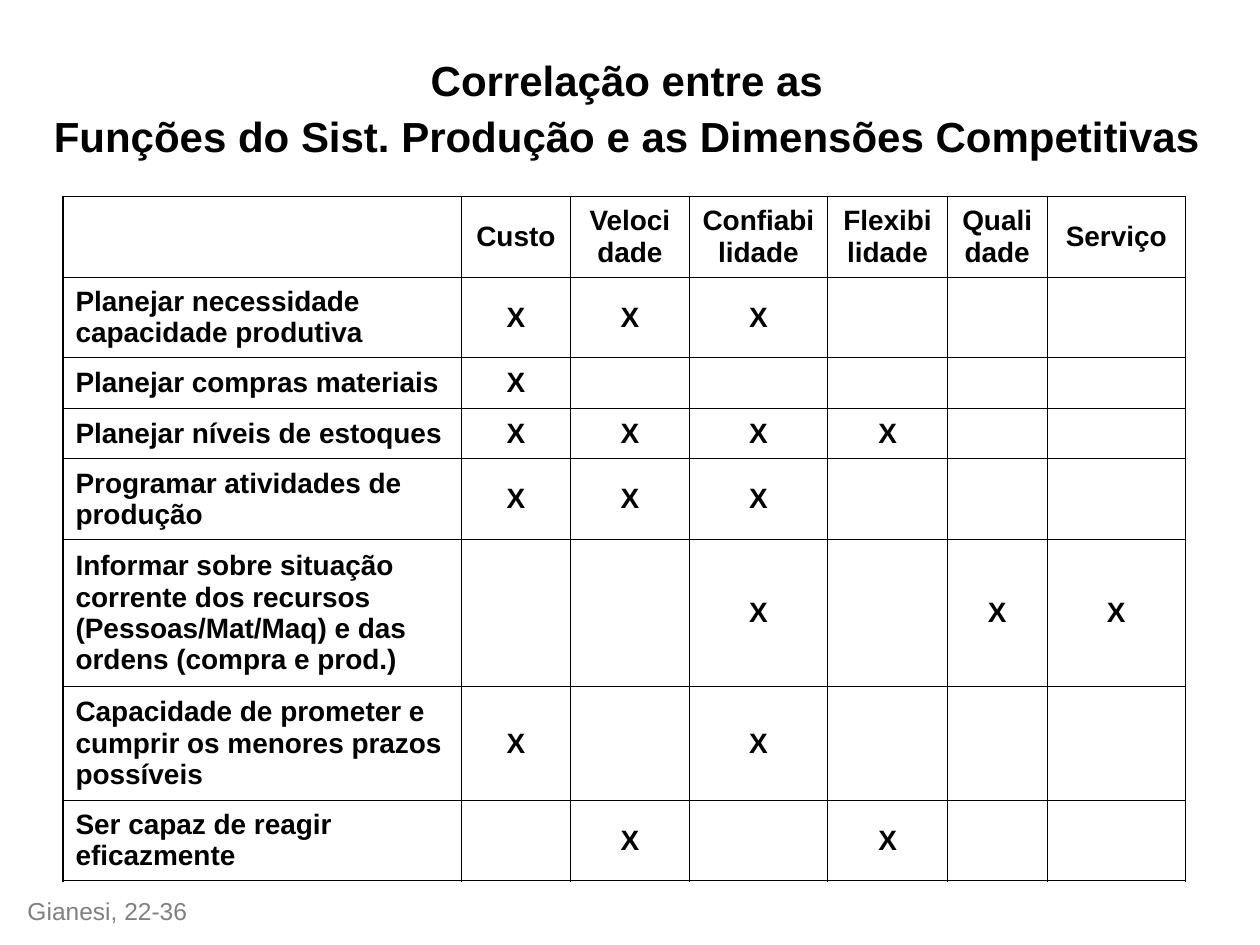
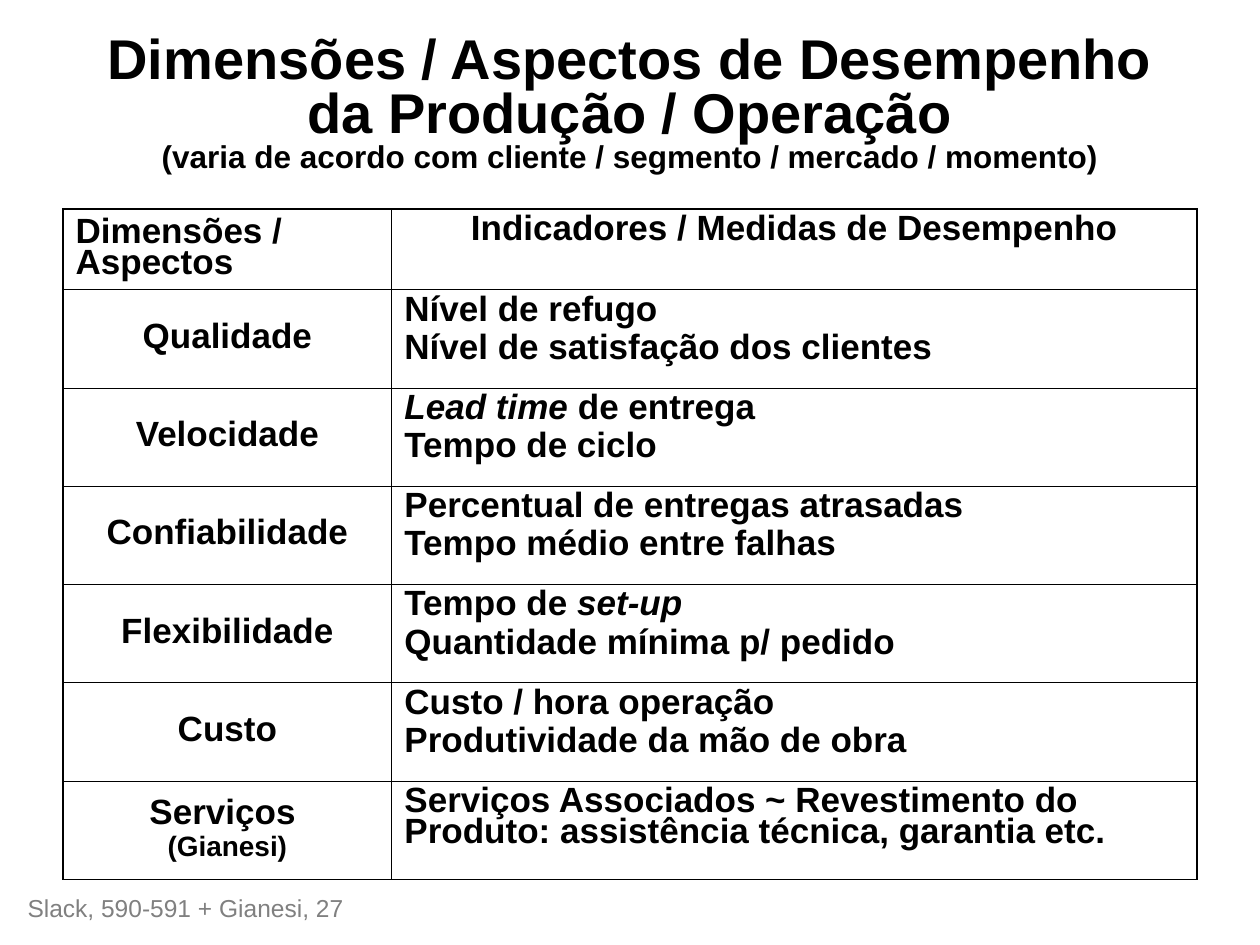
from dataclasses import dataclass
from pptx import Presentation
from pptx.dml.color import RGBColor as Rgb
from pptx.enum.text import MSO_ANCHOR as Anchor, MSO_AUTO_SIZE as Fit, PP_ALIGN as Align
from pptx.oxml.ns import qn
from pptx.util import Inches, Pt
from lxml.etree import SubElement as Sub


@dataclass(frozen=True)
class Theme:
    """Colours, type sizes and line widths of the deck."""
    font: str = "Arial"
    ink: str = "000000"
    grey: str = "808080"
    paper: str = "FFFFFF"
    head: int = 24
    big: int = 32
    sub: int = 18
    grid: int = 16
    body: int = 20
    note: int = 14
    thin: float = 0.45
    thick: float = 1.08


T = Theme()
MARKS = ["Custo", "Velocidade", "Confiabilidade", "Flexibilidade", "Qualidade", "Serviço"]
TASKS = [
    ("Planejar necessidade capacidade produtiva", "XXX---"),
    ("Planejar compras materiais", "X-----"),
    ("Planejar níveis de estoques", "XXXX--"),
    ("Programar atividades de produção", "XXX---"),
    ("Informar sobre situação corrente dos recursos (Pessoas/Mat/Maq) e das ordens (compra e prod.)",
     "--X-XX"),
    ("Capacidade de prometer e cumprir os menores prazos possíveis", "X-X---"),
    ("Ser capaz de reagir eficazmente", "-X-X--"),
]
ASPECTS = [
    ("Dimensões / Aspectos", ["Indicadores / Medidas de Desempenho"]),
    ("Qualidade", ["Nível de refugo", "Nível de satisfação dos clientes"]),
    ("Velocidade", ["*Lead time *de entrega", "Tempo de ciclo"]),
    ("Confiabilidade", ["Percentual de entregas atrasadas", "Tempo médio entre falhas"]),
    ("Flexibilidade", ["Tempo de *set-up*", "Quantidade mínima p/ pedido"]),
    ("Custo", ["Custo / hora operação", "Produtividade da mão de obra"]),
    ("Serviços ", ["Serviços Associados ~ Revestimento do Produto: assistência técnica, garantia etc."]),
]


def apply(item, form):
    """Set each attribute in form on item."""
    for key, value in form.items():
        setattr(item, key, value)


def write(para, text, size, color=T.ink, bold=True):
    """Add text to a paragraph; stars switch italics, newlines break."""
    for row, line in enumerate(text.split("\n")):
        if row:
            para.add_line_break()
        for turn, part in enumerate(line.split("*")):
            if part:
                run = para.add_run()
                run.text = part
                apply(run.font, {"name": T.font, "size": Pt(size), "bold": bold, "italic": turn % 2 == 1})
                run.font.color.rgb = Rgb.from_string(color)


def add_box(slide, spot, form):
    """Add a text box and return its first paragraph."""
    frame = slide.shapes.add_textbox(*map(Inches, spot)).text_frame
    apply(frame, {"word_wrap": True, **form})
    return frame.paragraphs[0]


def add_title(slide, left, width, space, parts):
    """Add a centred title made of (text, size) parts."""
    para = add_box(slide, (left, 0.21, width, 1.25), {"vertical_anchor": Anchor.MIDDLE})
    apply(para, {"alignment": Align.CENTER, "line_spacing": space})
    for text, size in parts:
        write(para, text, size)


def add_note(slide, top, width, text):
    """Add the grey source line at the foot."""
    para = add_box(slide, (0.12, top, width, 0.34), {"auto_size": Fit.SHAPE_TO_FIT_TEXT})
    para.space_before = Pt(8.8)
    write(para, text, T.note, T.grey, False)


def add_grid(slide, top, cols, rows):
    """Add a plain table with a thick frame and thin inner lines."""
    spot = map(Inches, (0.5, top, sum(cols), sum(rows)))
    table = slide.shapes.add_table(len(rows), len(cols), *spot).table
    apply(table, {"first_row": False, "horz_banding": False})
    for col, width in zip(table.columns, cols):
        col.width = Inches(width)
    for row, height in zip(table.rows, rows):
        row.height = Inches(height)
    for r in range(len(rows)):
        for c in range(len(cols)):
            cell = table.cell(r, c)
            edges = {"L": c == 0, "R": c == len(cols) - 1, "T": r == 0, "B": r == len(rows) - 1}
            rule(cell, edges)
            cell.fill.solid()
            cell.fill.fore_color.rgb = Rgb.from_string(T.paper)
    return table


def rule(cell, edges):
    """Draw the four borders of a cell, thick on the outer edges."""
    props = cell._tc.get_or_add_tcPr()
    for side, outer in edges.items():
        line = Sub(props, qn("a:ln" + side), w=str(int(Pt(T.thick if outer else T.thin))))
        Sub(Sub(line, qn("a:solidFill")), qn("a:srgbClr"), val=T.ink)


def fill_cell(cell, parts, align, anchor=Anchor.MIDDLE, space=None):
    """Write one paragraph for each (text, size) part in a cell."""
    apply(cell, {"vertical_anchor": anchor, "margin_left": Inches(0.1), "margin_right": Inches(0.1),
                 "margin_top": Inches(0.05), "margin_bottom": Inches(0.05)})
    frame = cell.text_frame
    for turn, (text, size) in enumerate(parts):
        para = frame.add_paragraph() if turn else frame.paragraphs[0]
        apply(para, {"alignment": align, "line_spacing": space, "space_before": Pt(size * 0.2)})
        write(para, text, size)


def add_matrix(slide):
    """Build the slide that links tasks to dimensions."""
    add_title(slide, 0.31, 9.33, 1.1, [
        ("Correlação entre as\nFunções do Sist. Produção e as Dimensões Competitivas", T.head)])
    table = add_grid(slide, 1.56, [3.16, 0.87, 0.94, 1.1, 0.95, 0.79, 1.1],
                     [0.64, 0.64, 0.39, 0.4, 0.64, 1.17, 0.9, 0.64])
    for r, (task, marks) in enumerate([("", MARKS)] + TASKS):
        for c, text in enumerate([task, *marks]):
            if text not in ("", "-"):
                fill_cell(table.cell(r, c), [(text, T.grid)], Align.CENTER if c else Align.LEFT)
    add_note(slide, 7.06, 1.57, "Gianesi, 22-36")


def add_aspects(slide):
    """Build the slide that lists measures for each dimension."""
    add_title(slide, 0.5, 9, 0.8, [
        ("Dimensões / Aspectos de Desempenho da Produção / Operação\n", T.big),
        ("(varia de acordo com cliente / segmento / mercado / momento)", T.sub)])
    table = add_grid(slide, 1.66, [2.61, 6.39], [0.64] + [0.78] * 6)
    last = len(ASPECTS) - 1
    for r, (name, lines) in enumerate(ASPECTS):
        label = [(name, T.body)] + ([("(Gianesi)", T.grid)] if r == last else [])
        sides = (Align.CENTER, Align.LEFT) if r else (Align.LEFT, Align.CENTER)
        fill_cell(table.cell(r, 0), label, sides[0], space=0.8)
        fill_cell(table.cell(r, 1), [(line, T.body) for line in lines], sides[1], Anchor.TOP, 0.8)
    add_note(slide, 7.04, 2.91, "Slack, 590-591 + Gianesi, 27")


def main():
    """Build and save the deck."""
    deck = Presentation()
    apply(deck, {"slide_width": Inches(10), "slide_height": Inches(7.5)})
    for build in (add_matrix, add_aspects):
        build(deck.slides.add_slide(deck.slide_layouts[6]))
    deck.save("out.pptx")


main()
